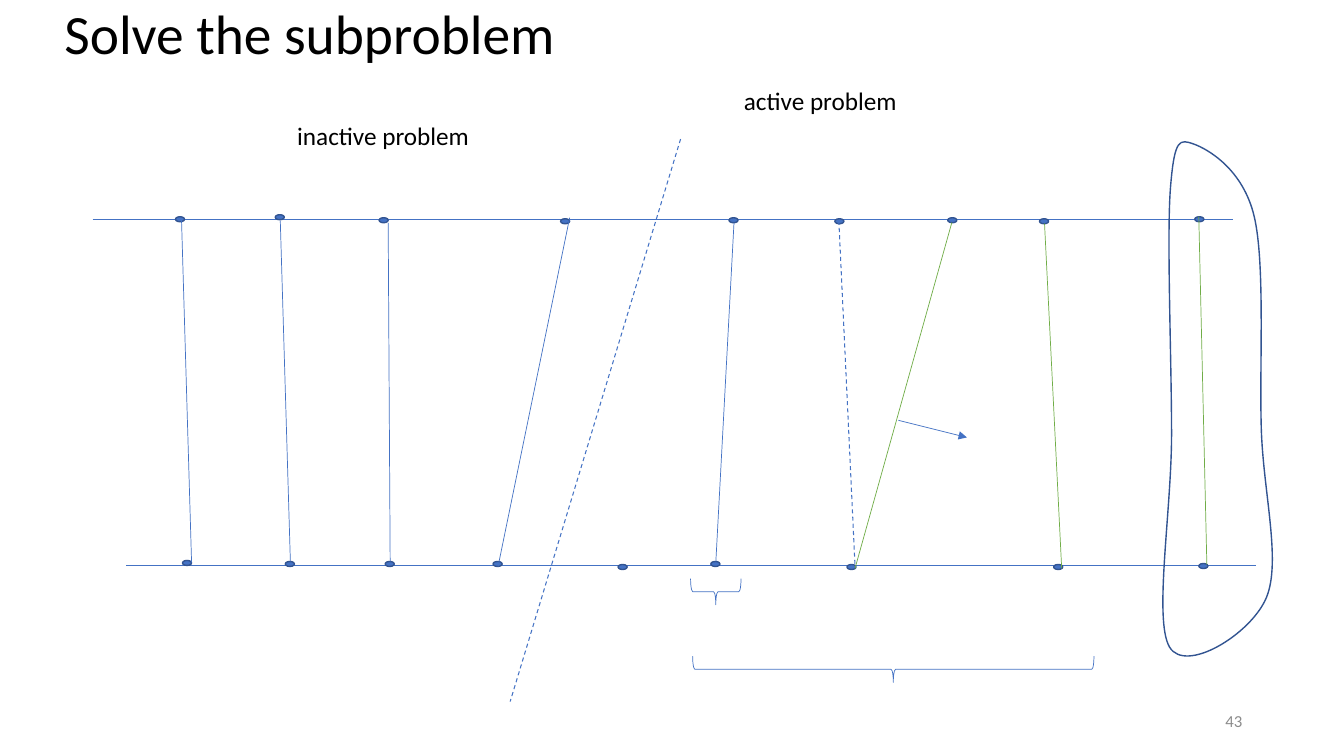
from lxml import etree
from pptx import Presentation
from pptx.dml.color import RGBColor
from pptx.enum.dml import MSO_LINE
from pptx.enum.shapes import MSO_CONNECTOR, MSO_SHAPE
from pptx.enum.text import MSO_ANCHOR, PP_ALIGN
from pptx.oxml.ns import qn
from pptx.util import Inches, Pt

THEME = {
    "font": "Calibri",
    "ink": "000000", "muted": "8C8C8C", "blue": "4472C4", "navy": "325491", "green": "70AD47",
    "title": 39.6, "label": 18, "number": 12,
    "thin": 0.5, "dashed": 0.75, "outline": 1,
}

TEXTS = [
    ("Solve the subproblem", (0.54, 0.09, 6.9, 0.55),
     {"size": "title", "anchor": MSO_ANCHOR.MIDDLE, "spacing": 0.9}),
    ("inactive problem", (2.85, 1.14, 1.93, 0.4), {"wrap": False}),
    ("active problem", (7.28, 0.8, 1.8, 0.4), {"wrap": False}),
    ("43", (9.42, 6.95, 3, 0.4),
     {"size": "number", "color": "muted", "anchor": MSO_ANCHOR.MIDDLE, "align": PP_ALIGN.RIGHT}),
]

AXES = [(0.92, 2.18, 12.23, 2.18), (1.25, 5.61, 12.46, 5.61)]
INACTIVE_LINKS = [
    (1.8, 2.17, 1.9, 5.58), (2.78, 2.19, 2.88, 5.57),
    (3.85, 2.21, 3.87, 5.57), (5.65, 2.16, 4.94, 5.62),
]
ACTIVE_LINK = (7.28, 2.21, 7.1, 5.57)
GREEN_LINKS = [
    (9.44, 2.21, 8.48, 5.64), (10.36, 2.22, 10.53, 5.64), (11.89, 2.15, 11.97, 5.6),
]
DIVIDER = (6.75, 1.38, 5.06, 6.96)
CANDIDATE_LINK = (8.32, 2.19, 8.48, 5.61)
ARROW = (8.91, 4.17, 9.59, 4.34)

DOT_SIZE = (0.09, 0.05)
TOP_DOTS = [
    (1.74, 2.15), (2.73, 2.13), (3.76, 2.16), (5.56, 2.17), (7.23, 2.16),
    (8.28, 2.17), (9.4, 2.16), (10.31, 2.17), (11.85, 2.15),
]
BOTTOM_DOTS = [
    (1.81, 5.56), (2.83, 5.57), (3.82, 5.57), (4.89, 5.57), (6.13, 5.6),
    (7.05, 5.57), (8.4, 5.6), (10.45, 5.6), (11.89, 5.59),
]

BRACE_DEPTH = 0.26
BRACES = [(6.85, 5.74, 0.5), (6.87, 6.51, 3.98)]

LASSO_FRAME = (11.53, 1.41, 1.09, 5.1)
LASSO_START = (11.84, 1.43)
LASSO_CURVES = [
    ((11.7, 1.38), (11.65, 1.37), (11.61, 1.85)),
    ((11.57, 2.33), (11.62, 3.55), (11.62, 4.31)),
    ((11.62, 5.07), (11.44, 6.15), (11.6, 6.42)),
    ((11.76, 6.69), (12.41, 6.29), (12.56, 5.93)),
    ((12.71, 5.57), (12.53, 4.89), (12.51, 4.26)),
    ((12.49, 3.63), (12.55, 2.62), (12.44, 2.15)),
    ((12.33, 1.68), (11.98, 1.48), LASSO_START),
]


def color_of(name):
    return RGBColor.from_string(THEME[name])


def add_text(page, text, frame, size="label", color="ink", wrap=True,
             anchor=MSO_ANCHOR.TOP, align=PP_ALIGN.LEFT, spacing=1.0):
    box = page.shapes.add_textbox(*map(Inches, frame))
    box.text_frame.word_wrap = wrap
    box.text_frame.vertical_anchor = anchor
    para = box.text_frame.paragraphs[0]
    para.alignment = align
    para.line_spacing = spacing
    span = para.add_run()
    span.text = text
    span.font.name = THEME["font"]
    span.font.size = Pt(THEME[size])
    span.font.color.rgb = color_of(color)


def add_line(page, ends, color="blue", dashed=False, arrow=False):
    line = page.shapes.add_connector(MSO_CONNECTOR.STRAIGHT, *map(Inches, ends))
    line.line.color.rgb = color_of(color)
    line.line.width = Pt(THEME["dashed" if dashed else "thin"])
    if dashed:
        line.line.dash_style = MSO_LINE.DASH
    if arrow:
        outline = line.line._get_or_add_ln()
        etree.SubElement(outline, qn("a:tailEnd"), type="triangle")
    etree.SubElement(line._element.spPr, qn("a:effectLst"))


def style_shape(shape, fill=None, line="navy", width="outline"):
    shape.shadow.inherit = False
    if fill:
        shape.fill.solid()
        shape.fill.fore_color.rgb = color_of(fill)
    else:
        shape.fill.background()
    shape.line.color.rgb = color_of(line)
    shape.line.width = Pt(THEME[width])


def add_dot(page, corner):
    dot = page.shapes.add_shape(MSO_SHAPE.OVAL, *map(Inches, corner + DOT_SIZE))
    style_shape(dot, fill="blue")


def add_brace(page, left, top, span):
    shift = (span - BRACE_DEPTH) / 2
    frame = (left + shift, top - shift, BRACE_DEPTH, span)
    brace = page.shapes.add_shape(MSO_SHAPE.LEFT_BRACE, *map(Inches, frame))
    brace.rotation = 270
    style_shape(brace, line="blue", width="thin")


def add_lasso(page):
    builder = page.shapes.build_freeform(*LASSO_START, scale=Inches(1))
    builder.add_line_segments([curve[-1] for curve in LASSO_CURVES], close=True)
    lasso = builder.convert_to_shape()
    left, top, width, height = map(Inches, LASSO_FRAME)
    lasso.left, lasso.top, lasso.width, lasso.height = left, top, width, height

    outline = lasso._element.spPr.find(".//" + qn("a:path"))
    outline.set("w", str(width))
    outline.set("h", str(height))
    for step in list(outline):
        outline.remove(step)
    steps = [("a:moveTo", [LASSO_START])]
    steps += [("a:cubicBezTo", curve) for curve in LASSO_CURVES]
    steps.append(("a:close", []))
    for tag, points in steps:
        step = etree.SubElement(outline, qn(tag))
        for x, y in points:
            etree.SubElement(step, qn("a:pt"), x=str(Inches(x) - left), y=str(Inches(y) - top))
    style_shape(lasso)


def main():
    deck = Presentation()
    deck.slide_width, deck.slide_height = Inches(13.33), Inches(7.5)
    page = deck.slides.add_slide(deck.slide_layouts[6])

    for ends in AXES:
        add_line(page, ends)
    for corner in TOP_DOTS + BOTTOM_DOTS:
        add_dot(page, corner)
    for ends in INACTIVE_LINKS + [ACTIVE_LINK]:
        add_line(page, ends)
    for ends in GREEN_LINKS:
        add_line(page, ends, color="green")
    for ends in (DIVIDER, CANDIDATE_LINK):
        add_line(page, ends, dashed=True)
    add_line(page, ARROW, arrow=True)
    add_lasso(page)
    for brace in BRACES:
        add_brace(page, *brace)
    for text, frame, style in TEXTS:
        add_text(page, text, frame, **style)

    deck.save("out.pptx")


if __name__ == "__main__":
    main()
